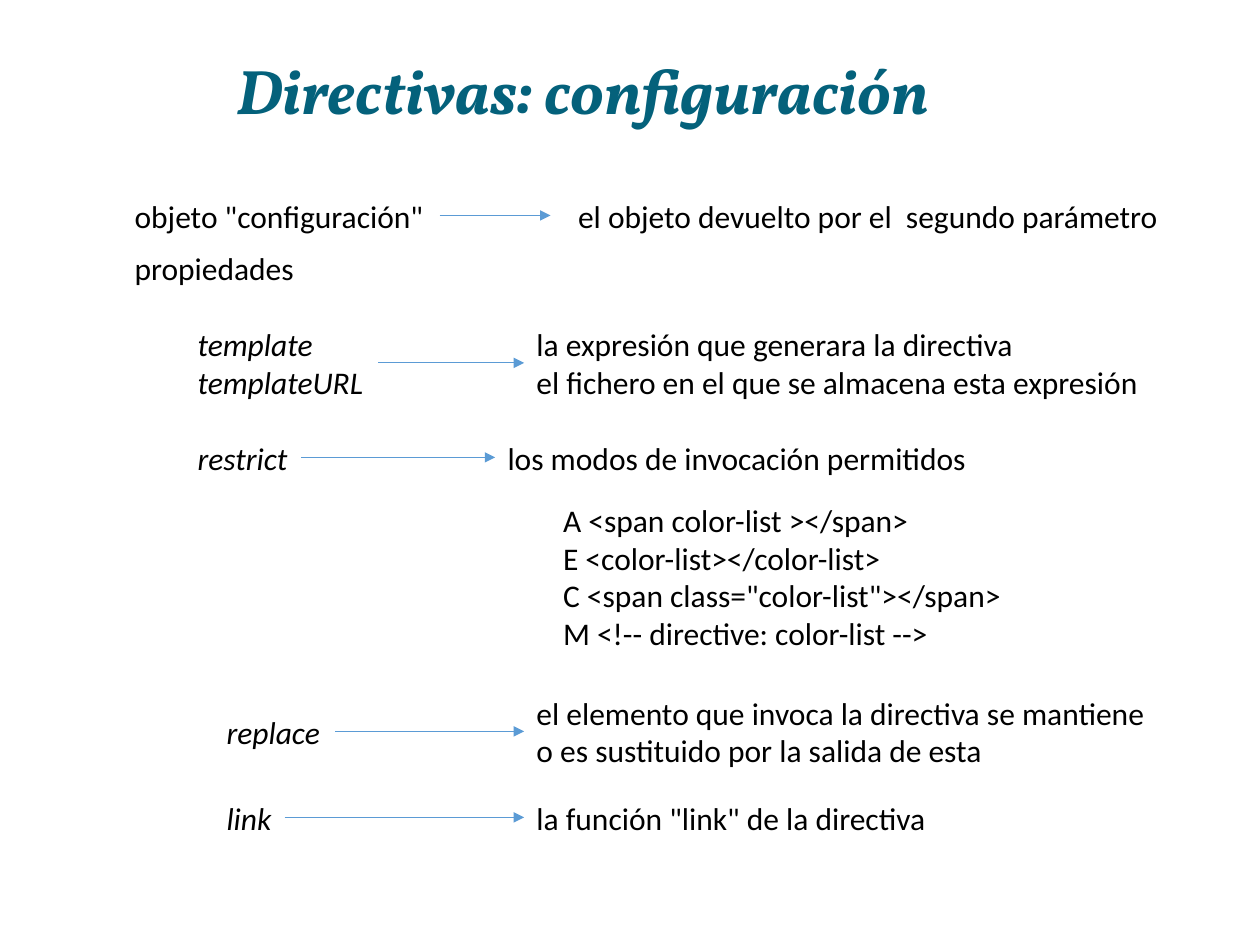
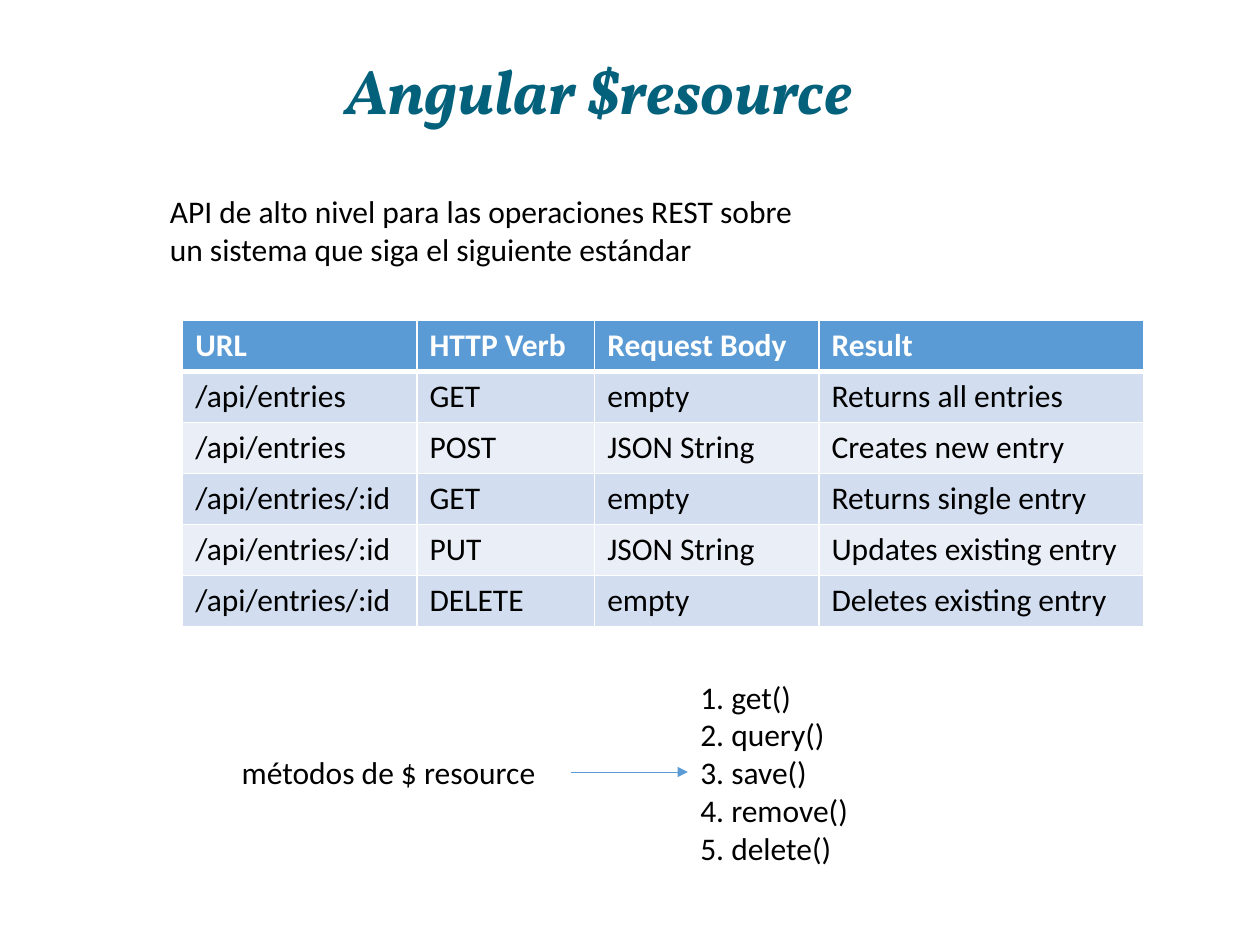
from lxml.etree import SubElement
from pptx import Presentation
from pptx.dml.color import RGBColor
from pptx.enum.shapes import MSO_CONNECTOR
from pptx.enum.text import MSO_ANCHOR, PP_ALIGN
from pptx.oxml import parse_xml
from pptx.oxml.ns import nsdecls, qn
from pptx.util import Inches, Pt

WIDE, HIGH = Inches(10), Inches(7.5)
TEAL = RGBColor(0x04, 0x61, 0x7B)
BLUE = RGBColor(0x5B, 0x9B, 0xD5)
DARK = RGBColor(0xD2, 0xDE, 0xEF)
PALE = RGBColor(0xEA, 0xEF, 0xF7)
BLACK = RGBColor(0, 0, 0)
WHITE = RGBColor(0xFF, 0xFF, 0xFF)

ROWS = [
    ("URL", "HTTP Verb", "Request Body", "Result"),
    ("/api/entries", "GET", "empty", "Returns all entries"),
    ("/api/entries", "POST", "JSON String", "Creates new entry"),
    ("/api/entries/:id", "GET", "empty", "Returns single entry"),
    ("/api/entries/:id", "PUT", "JSON String", "Updates existing entry"),
    ("/api/entries/:id", "DELETE", "empty", "Deletes existing entry"),
]


def across(share):
    return round(WIDE * share / 100)


def down(share):
    return round(HIGH * share / 100)


def style(frame, size=18, face="Calibri", color=BLACK, bold=False, italic=False):
    for para in frame.paragraphs:
        for run in para.runs:
            font = run.font
            font.size, font.name = Pt(size), face
            font.bold, font.italic = bold, italic
            font.color.rgb = color


def add_box(slide, left, mid, width, height, text, wrap):
    box = slide.shapes.add_textbox(
        across(left), down(mid - height / 2), across(width), down(height))
    frame = box.text_frame
    frame.text = text
    frame.word_wrap = wrap
    frame.vertical_anchor = MSO_ANCHOR.MIDDLE
    return box


def add_title(slide, left, text):
    frame = add_box(slide, left, 10, 81.3, 9.33, text, True).text_frame
    para = frame.paragraphs[0]
    para.alignment = PP_ALIGN.CENTER
    para.line_spacing = 0.9
    style(frame, 36, "Vollkorn", TEAL, True, True)


def add_note(slide, left, mid, width, text, lines=1, wrap=True, italic=False):
    box = add_box(slide, left, mid, width, 1.33 + 4.04 * lines, text, wrap)
    style(box.text_frame, italic=italic)
    return box


def add_term(slide, left, mid, width, text, lines=1):
    return add_note(slide, left, mid, width, text, lines, False, True)


def add_arrow(slide, start, end=None, tip=0):
    mid = start.top + start.height // 2
    stop = end.left if end else across(tip)
    line = slide.shapes.add_connector(
        MSO_CONNECTOR.STRAIGHT, start.left + start.width, mid, stop, mid)
    line.begin_connect(start, 3)
    if end:
        line.end_connect(end, 1)
    line.line.color.rgb = BLUE
    line.line.width = Pt(0.5)
    SubElement(line.line._get_or_add_ln(), qn("a:tailEnd"), type="triangle")
    SubElement(line._element.spPr, qn("a:effectLst"))


def add_edges(cell, head):
    props = cell._tc.get_or_add_tcPr()
    for spot, side in enumerate("LRTB"):
        width = Pt(3 if head and side == "B" else 1)
        props.insert(spot, parse_xml(
            f'<a:ln{side} {nsdecls("a")} w="{width}"><a:solidFill>'
            f'<a:srgbClr val="{WHITE}"/></a:solidFill></a:ln{side}>'))


def add_grid(slide, left, top, widths, height, rows):
    grid = slide.shapes.add_table(
        len(rows), len(widths), across(left), down(top),
        across(sum(widths)), down(height * len(rows))).table
    for col, width in zip(grid.columns, widths):
        col.width = across(width)
    for r, row in enumerate(rows):
        head = r == 0
        for c, text in enumerate(row):
            cell = grid.cell(r, c)
            cell.text = text
            cell.fill.solid()
            cell.fill.fore_color.rgb = BLUE if head else (PALE, DARK)[r % 2]
            style(cell.text_frame, color=WHITE if head else BLACK, bold=head)
            add_edges(cell, head)


def draw_config(slide):
    add_title(slide, 5.6, "Directivas: configuración")
    config = add_note(slide, 9.7, 22.8, 25.2, 'objeto "configuración"', wrap=False)
    add_note(slide, 44.9, 22.8, 50.3, "el objeto devuelto por el  segundo parámetro")
    add_arrow(slide, config, tip=43.7)
    add_note(slide, 9.7, 28.3, 15.4, "propiedades", wrap=False)

    pairs = [
        (14.7, 38.4, 15.3, "template\ntemplateURL", 41.6, 2,
         "la expresión que generara la directiva\n"
         "el fichero en el que se almacena esta expresión"),
        (14.7, 48.4, 9.2, "restrict", 39.3, 1, "los modos de invocación permitidos"),
        (17, 77.4, 9.6, "replace", 41.6, 2,
         "el elemento que invoca la directiva se mantiene "
         "o es sustituido por la salida de esta"),
        (17, 86.5, 5.6, "link", 41.6, 1, 'la función "link" de la directiva'),
    ]
    for left, mid, width, name, edge, lines, text in pairs:
        term = add_term(slide, left, mid, width, name, name.count("\n") + 1)
        note = add_note(slide, edge, mid, 50.4, text, lines)
        add_arrow(slide, term, note)

    add_note(slide, 43.7, 61, 38.5,
             "A <span color-list ></span>\n"
             "E <color-list></color-list>\n"
             'C <span class="color-list"></span>\n'
             "M <!-- directive: color-list -->", 4)


def draw_resource(slide):
    add_title(slide, 6.9, "Angular $resource")
    add_note(slide, 12.5, 24.3, 53.6,
             "API de alto nivel para las operaciones REST sobre "
             "un sistema que siga el siguiente estándar", 2)
    add_grid(slide, 14.5, 33.9, (18.6, 14.1, 17.8, 25.8), 5.4, ROWS)
    calls = add_note(slide, 54.6, 81.7, 18,
                     "1. get()\n2. query()\n3. save()\n4. remove()\n5. delete()", 5)
    names = add_note(slide, 18.2, 81.7, 27.1, "métodos de $ resource")
    add_arrow(slide, names, calls)


def main():
    deck = Presentation()
    deck.slide_width, deck.slide_height = WIDE, HIGH
    for draw in (draw_config, draw_resource):
        draw(deck.slides.add_slide(deck.slide_layouts[6]))
    deck.save("out.pptx")


if __name__ == "__main__":
    main()
